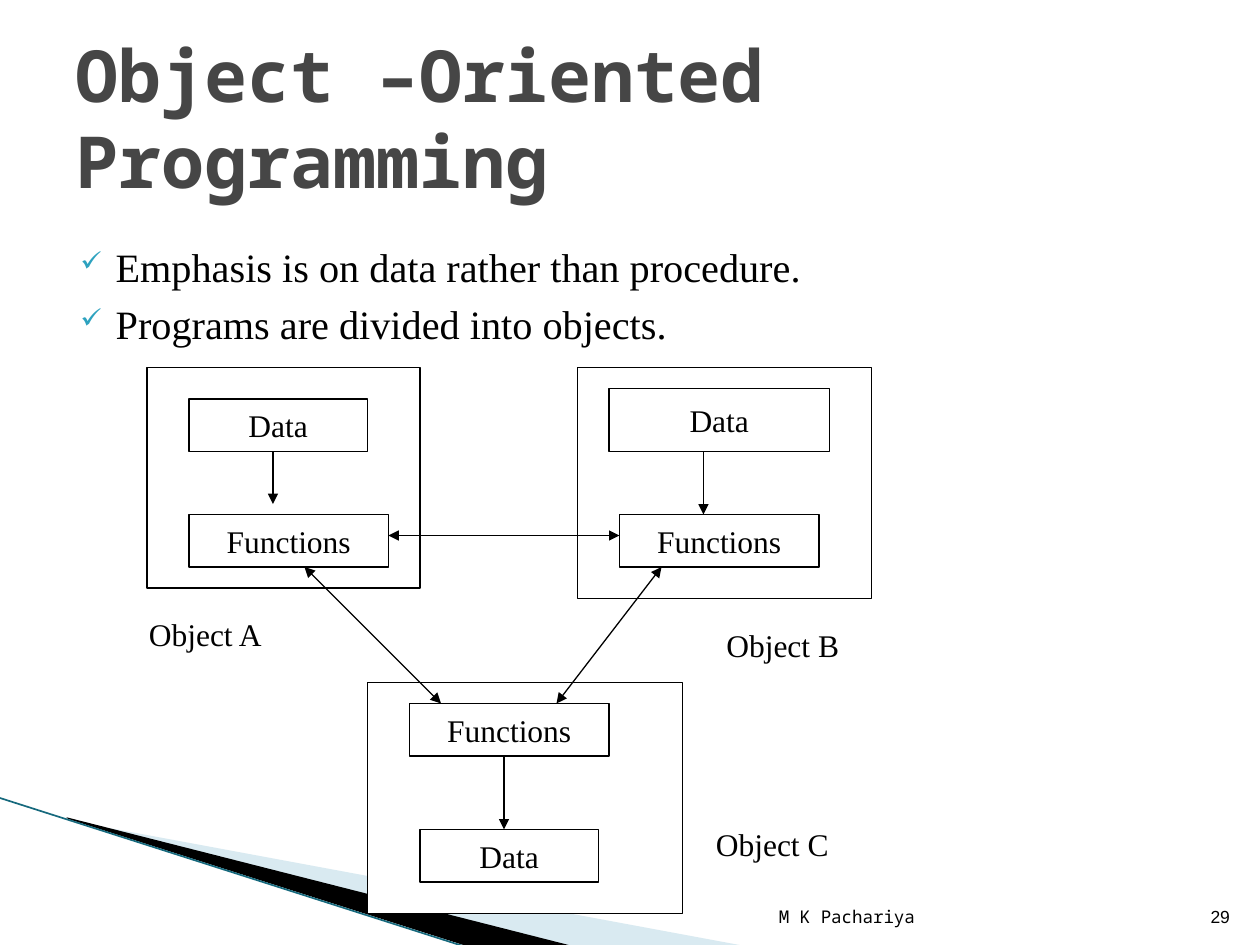
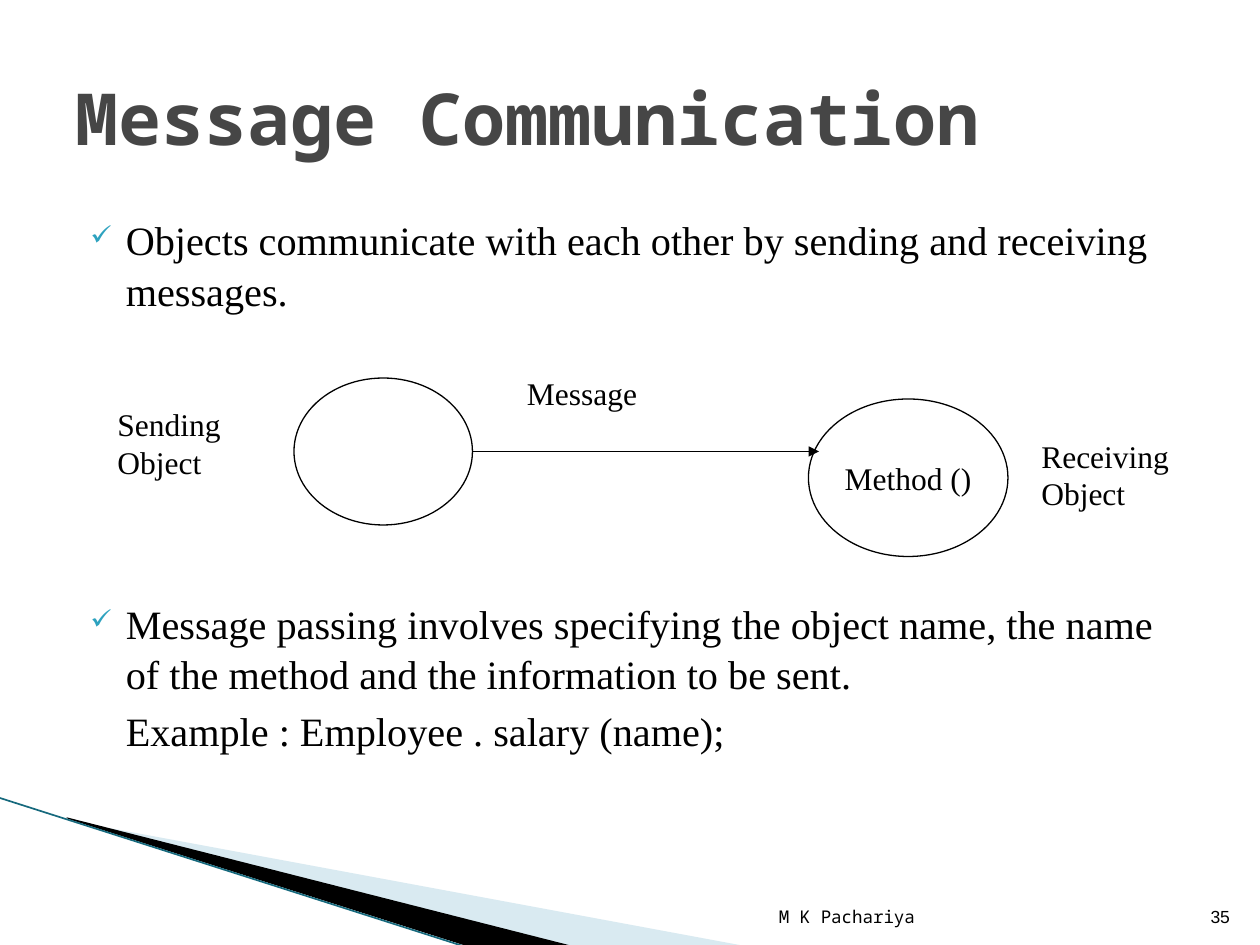
from lxml import etree
from pptx import Presentation
from pptx.dml.color import RGBColor
from pptx.enum import shapes, text
from pptx.oxml.ns import qn
from pptx.util import Pt

BLACK = RGBColor(0x00, 0x00, 0x00)
WHITE = RGBColor(0xFF, 0xFF, 0xFF)
TITLE_GREY = RGBColor(0x46, 0x46, 0x46)
CHECK_BLUE = RGBColor(0x2D, 0xA2, 0xBF)
BAND_BLUE = RGBColor(0xA0, 0xCB, 0xDC)
EDGE_TEAL = RGBColor(0x16, 0x69, 0x7D)

SERIF, MONO, SANS = "Times New Roman", "Noto Sans Mono", "Arial"
RECT, OVAL = shapes.MSO_SHAPE.RECTANGLE, shapes.MSO_SHAPE.OVAL
LEFT, CENTER, RIGHT = text.PP_ALIGN.LEFT, text.PP_ALIGN.CENTER, text.PP_ALIGN.RIGHT
TOP, MIDDLE, BOTTOM = (text.MSO_ANCHOR.TOP, text.MSO_ANCHOR.MIDDLE,
                       text.MSO_ANCHOR.BOTTOM)

TEXT_INDENT, CHECK_HANG = 28.8, 20.2


class Deck:
    def __init__(self):
        self.prs = Presentation()
        self.prs.slide_width, self.prs.slide_height = Pt(720), Pt(540)
        self.slide = None

    def new_slide(self, title, number):
        self.slide = self.prs.slides.add_slide(self.prs.slide_layouts[6])
        self.band([(39.6, 468.7), (428.4, 540.7), (328.3, 540.7), (39.6, 468)],
                  BAND_BLUE, opacity=40)
        self.band([(38.2, 467.3), (329, 540.7), (267.8, 541.4), (38.9, 468)], BLACK)
        self.line((-0.7, 455.8), (267.1, 541.4), EDGE_TEAL, 0.95)
        self.label("M K Pachariya", 344.9, 504.7, 185, 28.8, 10, MONO,
                   align=RIGHT, anchor=BOTTOM)
        self.label(str(number), 681.1, 504.7, 28.8, 28.8, 10, SANS,
                   align=RIGHT, anchor=BOTTOM)
        self.label(title, 36, 21.6, 648, 90, 41, MONO, TITLE_GREY,
                   bold=True, anchor=MIDDLE)

    def band(self, points, color, opacity=None):
        builder = self.slide.shapes.build_freeform(*points[0], scale=Pt(1))
        builder.add_line_segments(points[1:], close=True)
        band = builder.convert_to_shape()
        band.shadow.inherit = False
        band.fill.solid()
        band.fill.fore_color.rgb = color
        band.line.fill.background()
        if opacity:
            tint = band._element.spPr.find(qn("a:solidFill"))[0]
            etree.SubElement(tint, qn("a:alpha"), val=str(opacity * 1000))

    def line(self, start, end, color=BLACK, width=0.75, arrows=()):
        """Draw a straight line; arrows may hold "headEnd" and "tailEnd"."""
        line = self.slide.shapes.add_connector(
            shapes.MSO_CONNECTOR.STRAIGHT, *map(Pt, start + end))
        line.line.color.rgb = color
        line.line.width = Pt(width)
        outline = line._element.spPr.find(qn("a:ln"))
        for arrow in arrows:
            etree.SubElement(outline, qn(f"a:{arrow}"), type="triangle")
        etree.SubElement(line._element.spPr, qn("a:effectLst"))

    def arrow(self, start, end):
        self.line(start, end, arrows=["tailEnd"])

    def exchange(self, start, end):
        self.line(start, end, arrows=["headEnd", "tailEnd"])

    def add_words(self, paragraph, words, size, font=SERIF, color=BLACK, bold=False):
        run = paragraph.add_run()
        run.text = words
        run.font.size, run.font.name, run.font.bold = Pt(size), font, bold
        run.font.color.rgb = color

    def frame(self, left, top, width, height, anchor=TOP):
        box = self.slide.shapes.add_textbox(*map(Pt, (left, top, width, height)))
        box.text_frame.word_wrap = True
        box.text_frame.vertical_anchor = anchor
        return box.text_frame

    def label(self, words, left, top, width, height=28.8, size=18, font=SERIF,
              color=BLACK, bold=False, align=LEFT, anchor=TOP):
        paragraph = self.frame(left, top, width, height, anchor).paragraphs[0]
        paragraph.alignment = align
        self.add_words(paragraph, words, size, font, color, bold)

    def node(self, left, top, width, height, words="", kind=RECT):
        node = self.slide.shapes.add_shape(
            kind, *map(Pt, (left, top, width, height)))
        node.shadow.inherit = False
        node.fill.solid()
        node.fill.fore_color.rgb = WHITE
        node.line.color.rgb = BLACK
        node.line.width = Pt(0.75)
        if words:
            node.text_frame.word_wrap = False
            node.text_frame.vertical_anchor = MIDDLE
            paragraph = node.text_frame.paragraphs[0]
            paragraph.alignment = CENTER
            self.add_words(paragraph, words, 18)

    def body(self, left, top, width, height, items):
        """Fill a text box with items of (words, has check mark, space before)."""
        frame = self.frame(left, top, width, height)
        for index, (words, checked, gap) in enumerate(items):
            paragraph = frame.add_paragraph() if index else frame.paragraphs[0]
            props = paragraph._p.get_or_add_pPr()
            props.set("marL", str(Pt(TEXT_INDENT)))
            props.set("indent", str(-Pt(CHECK_HANG) if checked else 0))
            if checked:
                tint = etree.SubElement(props, qn("a:buClr"))
                etree.SubElement(tint, qn("a:srgbClr"), val=str(CHECK_BLUE))
                etree.SubElement(props, qn("a:buSzPct"), val="68000")
                etree.SubElement(props, qn("a:buChar"), char="✓")
            paragraph.line_spacing = 1.04
            paragraph.space_before = Pt(gap)
            self.add_words(paragraph, words, 23)


def object_oriented_slide(deck):
    deck.new_slide("Object –Oriented Programming", 29)
    deck.body(30.2, 133.8, 660, 396, [
        ("Emphasis is on data rather than procedure.", True, 0),
        ("Programs are divided into objects.", True, 4),
    ])
    # Each object: outline, data box, functions box, inner arrow, name position
    objects = {
        "Object A": ((84, 210, 156, 126), (108, 228, 102, 30), (108, 294, 114, 30),
                     ((156, 258), (156, 288)), (78, 348, 108)),
        "Object B": ((330, 210, 168, 132), (348, 222, 126, 36), (354, 294, 114, 30),
                     ((402, 258), (402, 294)), (408, 354, 138)),
        "Object C": ((210, 390, 180, 132), (240, 474, 102, 30), (234, 402, 114, 30),
                     ((288, 432), (288, 474)), (402, 468, 138)),
    }
    for name, (outline, data, functions, access, name_place) in objects.items():
        deck.node(*outline)
        deck.node(*data, "Data")
        deck.node(*functions, "Functions")
        deck.arrow(*access)
        deck.label(name, *name_place)
    deck.exchange((222, 306), (354, 306))
    deck.exchange((174, 324), (252, 402))
    deck.exchange((378, 324), (318, 402))


def message_slide(deck):
    deck.new_slide("Message Communication", 35)
    deck.body(36, 118.6, 648, 356, [
        ("Objects communicate with each other by sending and receiving messages.",
         True, 0),
        ("Message passing involves specifying the object name, the name of the "
         "method and the information to be sent.", True, 162),
        ("Example : Employee . salary (name);", False, 4),
    ])
    deck.node(168, 216, 102, 84, kind=OVAL)
    deck.node(462, 228, 114, 90, "Method ()", OVAL)
    deck.arrow((270, 258), (468, 258))
    deck.label("Sending Object", 60, 228, 90, 50.4)
    deck.label("Message", 294, 210, 126)
    deck.label("Receiving Object", 588, 246, 108, 50.4)


def main():
    deck = Deck()
    object_oriented_slide(deck)
    message_slide(deck)
    deck.prs.save("out.pptx")


if __name__ == "__main__":
    main()
